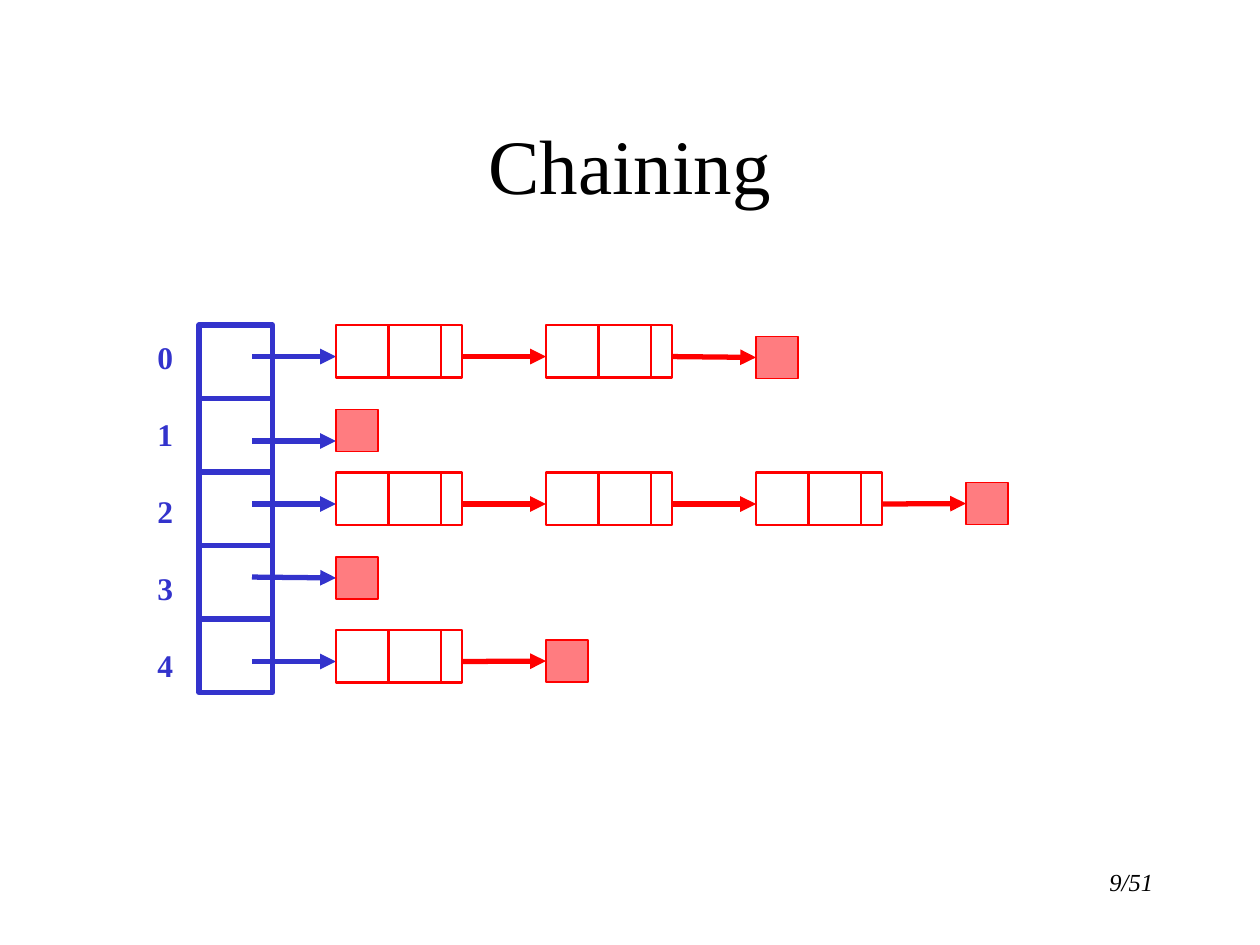
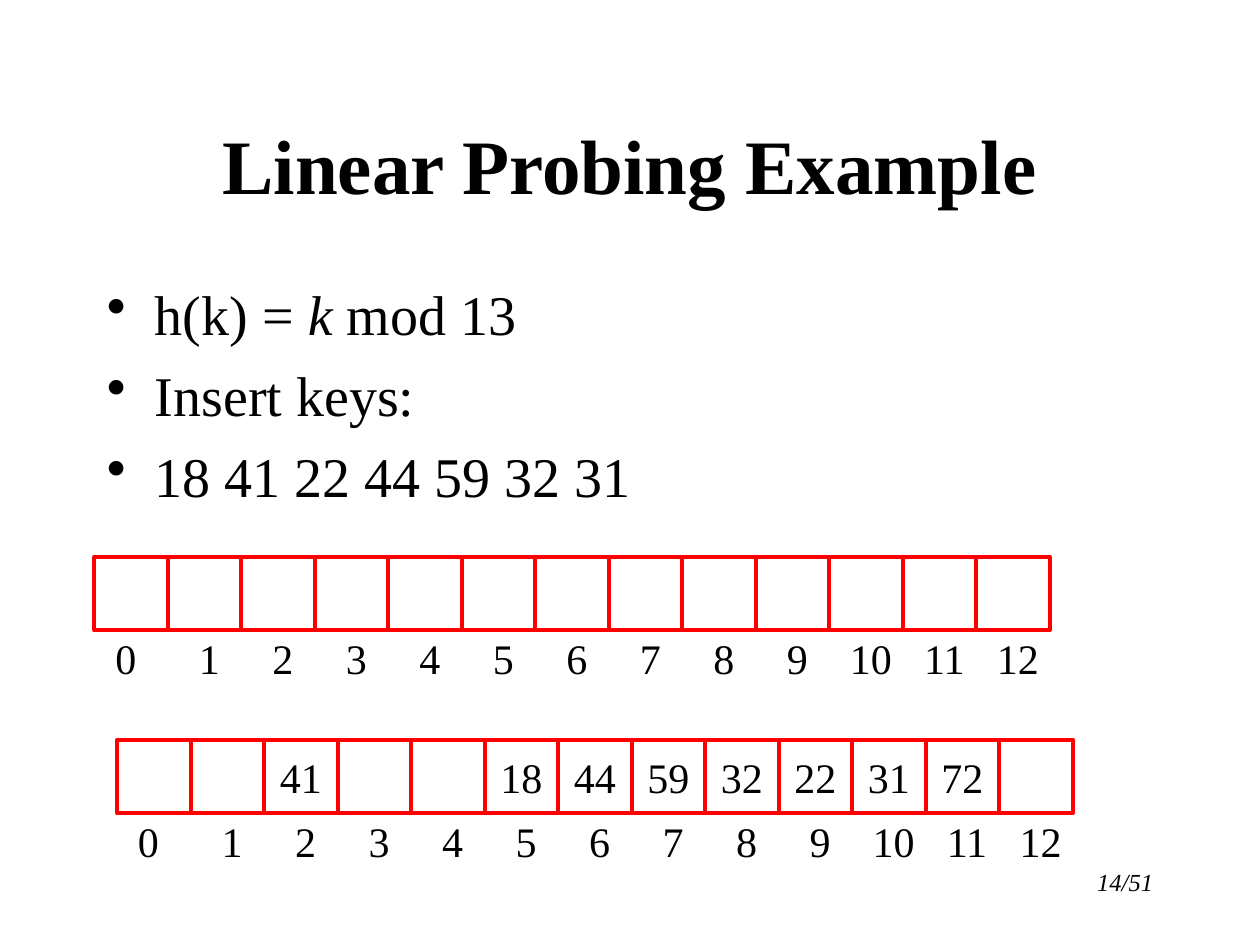
"""Build two slides on hashing: chaining and linear probing."""
from lxml import etree
from pptx import Presentation
from pptx import util as u
from pptx.dml.color import RGBColor
from pptx.enum import shapes, text
from pptx.oxml.ns import qn

HUES = {"ink": "000000", "blue": "3333CC", "red": "FF0000", "pink": "FF7C80"}
FONT = "Times New Roman"
CELL = 7 / 12
NIL = 1 / 3
PARTS = (5 / 12, 5 / 12, 1 / 6)
NODE = sum(PARTS)
GAP = 2 / 3
CHAIN = 8 / 3


def hue(name):
    """Return the named colour."""
    return RGBColor.from_string(HUES[name])


def style(para, size, color="ink", bold=False, italic=False):
    """Format every run of a paragraph."""
    for run in para.runs:
        font = run.font
        font.name, font.size = FONT, u.Pt(size)
        font.bold, font.italic = bold, italic
        font.color.rgb = hue(color)


def label(slide, box, words, size, align=text.PP_ALIGN.LEFT, **look):
    """Add a wrapping text box and return its frame."""
    frame = slide.shapes.add_textbox(*map(u.Inches, box)).text_frame
    frame.word_wrap = True
    frame.text = words
    for para in frame.paragraphs:
        para.alignment = align
        style(para, size, **look)
    return frame


def start(deck, title, page, bold=False):
    """Add a slide with its title and page number."""
    slide = deck.slides.add_slide(deck.slide_layouts[6])
    label(slide, (7.17, 6.83, 2.08, 0.5), f"{page}/51", 14,
          text.PP_ALIGN.RIGHT, italic=True)
    frame = label(slide, (0.75, 0.67, 8.5, 1.25), title, 44,
                  text.PP_ALIGN.CENTER, bold=bold)
    frame.vertical_anchor = text.MSO_ANCHOR.MIDDLE
    return slide


def rect(slide, box, line, width, fill=None, words=""):
    """Add an outlined rectangle, with fill and text if given."""
    shape = slide.shapes.add_shape(
        shapes.MSO_SHAPE.RECTANGLE, *map(u.Inches, box))
    shape.shadow.inherit = False
    shape.line.color.rgb = hue(line)
    shape.line.width = u.Pt(width)
    if fill:
        shape.fill.solid()
        shape.fill.fore_color.rgb = hue(fill)
    else:
        shape.fill.background()
    if words:
        frame = shape.text_frame
        frame.word_wrap = False
        frame.text = words
        frame.paragraphs[0].alignment = text.PP_ALIGN.CENTER
        style(frame.paragraphs[0], 24)
    return shape


def arrow(slide, left, right, y, color):
    """Add a level arrow that points right."""
    line = slide.shapes.add_connector(
        shapes.MSO_CONNECTOR.STRAIGHT,
        *map(u.Inches, (left, y, right, y)))
    line.line.color.rgb = hue(color)
    line.line.width = u.Pt(3)
    props = line.element.spPr
    etree.SubElement(props.find(qn("a:ln")), qn("a:tailEnd"), type="triangle")
    etree.SubElement(props, qn("a:effectLst"))
    return line


def chain(slide, y, count, top):
    """Draw the arrows and nodes of one bucket, closed by a nil box."""
    link = arrow(slide, 2, CHAIN, y, "blue")
    x = CHAIN
    for _ in range(count):
        for part in PARTS:
            rect(slide, (x, y - 0.25, part, PARTS[0]), "red", 1.5)
            x += part
        link = arrow(slide, x, x + GAP, y, "red")
        x += GAP
    nil = rect(slide, (x, top, NIL, NIL), "red", 1, "pink")
    if abs(top + NIL / 2 - y) < 0.01:
        link.end_connect(nil, 1)


def bullets(slide, box, items):
    """Add a bulleted list; each item is a list of (words, italic)."""
    frame = label(slide, box, "", 32)
    for i, item in enumerate(items):
        para = frame.add_paragraph() if i else frame.paragraphs[0]
        props = para._p.get_or_add_pPr()
        props.set("marL", str(u.Inches(0.38)))
        props.set("indent", str(u.Inches(-0.38)))
        tint = etree.SubElement(props, qn("a:buClr"))
        etree.SubElement(tint, qn("a:srgbClr"), val=HUES["ink"])
        etree.SubElement(props, qn("a:buChar"), char="•")
        if i:
            para.space_before = u.Pt(8)
        for words, _ in item:
            para.add_run().text = words
        style(para, 32)
        for run, (_, slant) in zip(para.runs, item):
            run.font.italic = slant


def slots(slide, left, top, keys):
    """Draw a row of hash slots with centred index numbers below."""
    for i, key in enumerate(keys):
        rect(slide, (left + i * CELL, top, CELL, CELL), "red", 2.25, words=key)
    words = "".join(f"\t{i}" for i in range(len(keys)))
    frame = label(slide, (left - 0.02, top + 0.55, 7.8, 0.5), words, 24)
    tabs = etree.SubElement(
        frame.paragraphs[0]._p.get_or_add_pPr(), qn("a:tabLst"))
    for i in range(len(keys)):
        spot = 0.25 + i * CELL if i else 0.17
        etree.SubElement(tabs, qn("a:tab"), pos=str(u.Inches(spot)), algn="ctr")


def chaining(deck):
    """Build the chaining slide."""
    slide = start(deck, "Chaining", 9)
    for i in range(5):
        rect(slide, (1.58, 2.58 + i * CELL, CELL, CELL), "blue", 3)
    rows = ((2.83, 2, 2.67), (3.5, 0, 3.25), (4, 3, 3.83),
            (4.58, 0, 4.42), (5.25, 1, 5.08))
    for y, count, top in rows:
        chain(slide, y, count, top)
    frame = label(slide, (1.15, 2.63, 0.4, 2.8), "\n".join("01234"), 18,
                  color="blue", bold=True)
    for para in frame.paragraphs[1:]:
        para.space_before = u.Pt(22.5)


def probing(deck):
    """Build the linear probing slide."""
    slide = start(deck, "Linear Probing Example", 14, bold=True)
    bullets(slide, (0.75, 2.17, 8.5, 2.33), [
        [("h(k) = ", False), ("k ", True), ("mod 13", False)],
        [("Insert keys:", False)],
        [("18 41 22 44 59 32 31", False)]])
    slots(slide, 0.75, 4.42, [""] * 13)
    slots(slide, 0.93, 5.87, ["", "", "41", "", "", "18", "44", "59", "32",
                              "22", "31", "72", ""])


def main():
    """Build and save the deck."""
    deck = Presentation()
    deck.slide_width, deck.slide_height = u.Inches(10), u.Inches(7.5)
    chaining(deck)
    probing(deck)
    deck.save("out.pptx")


if __name__ == "__main__":
    main()
